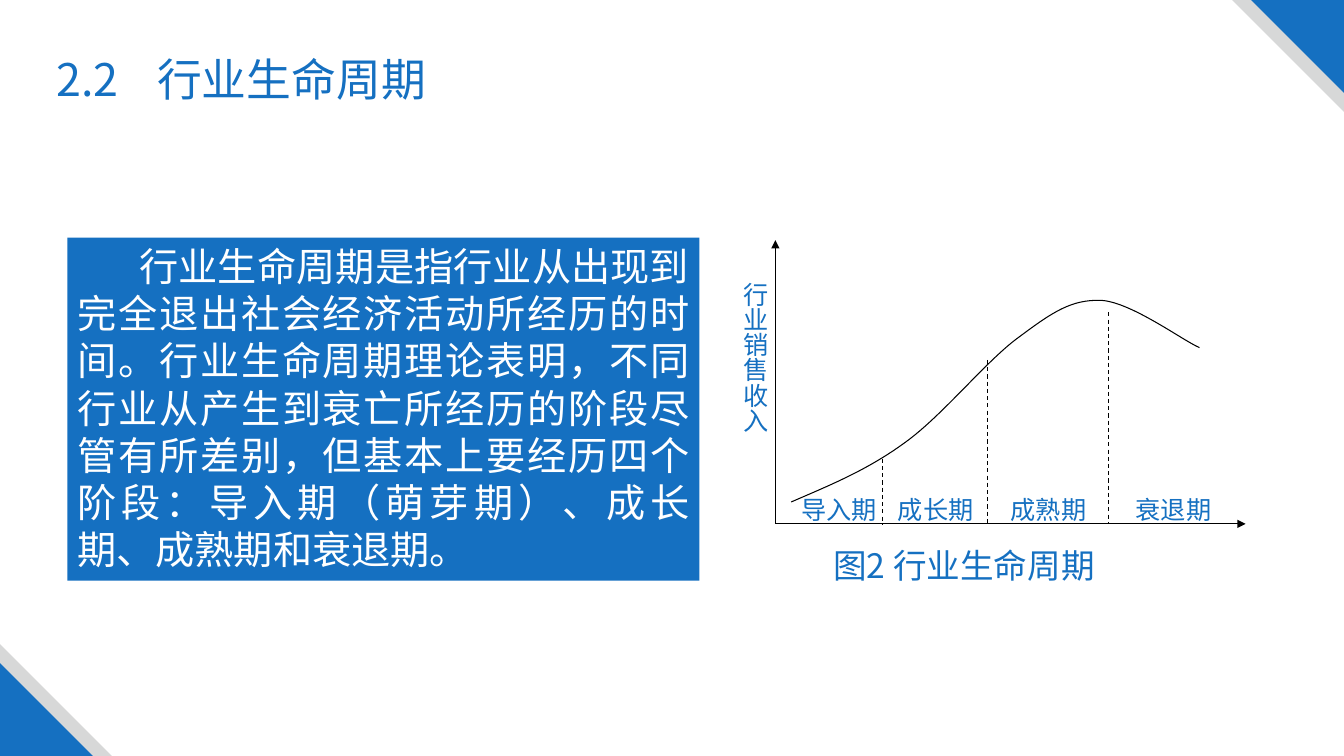
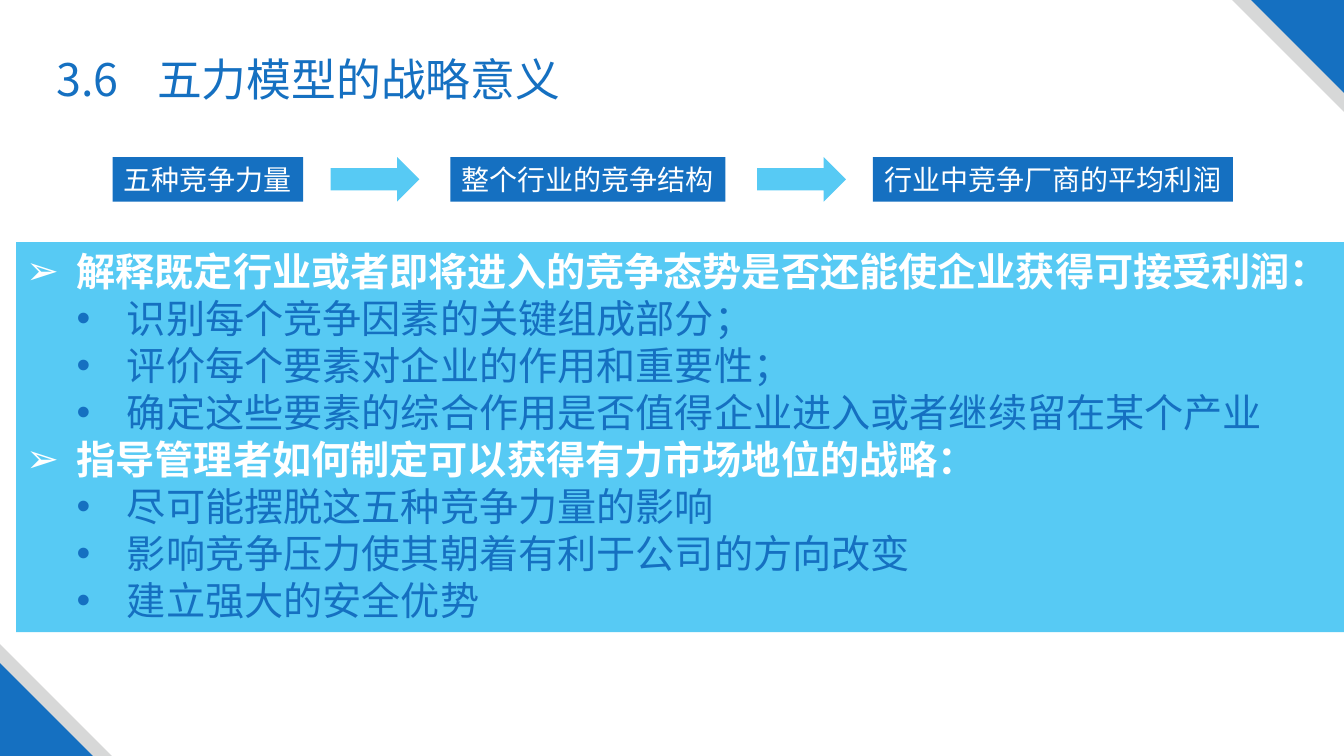
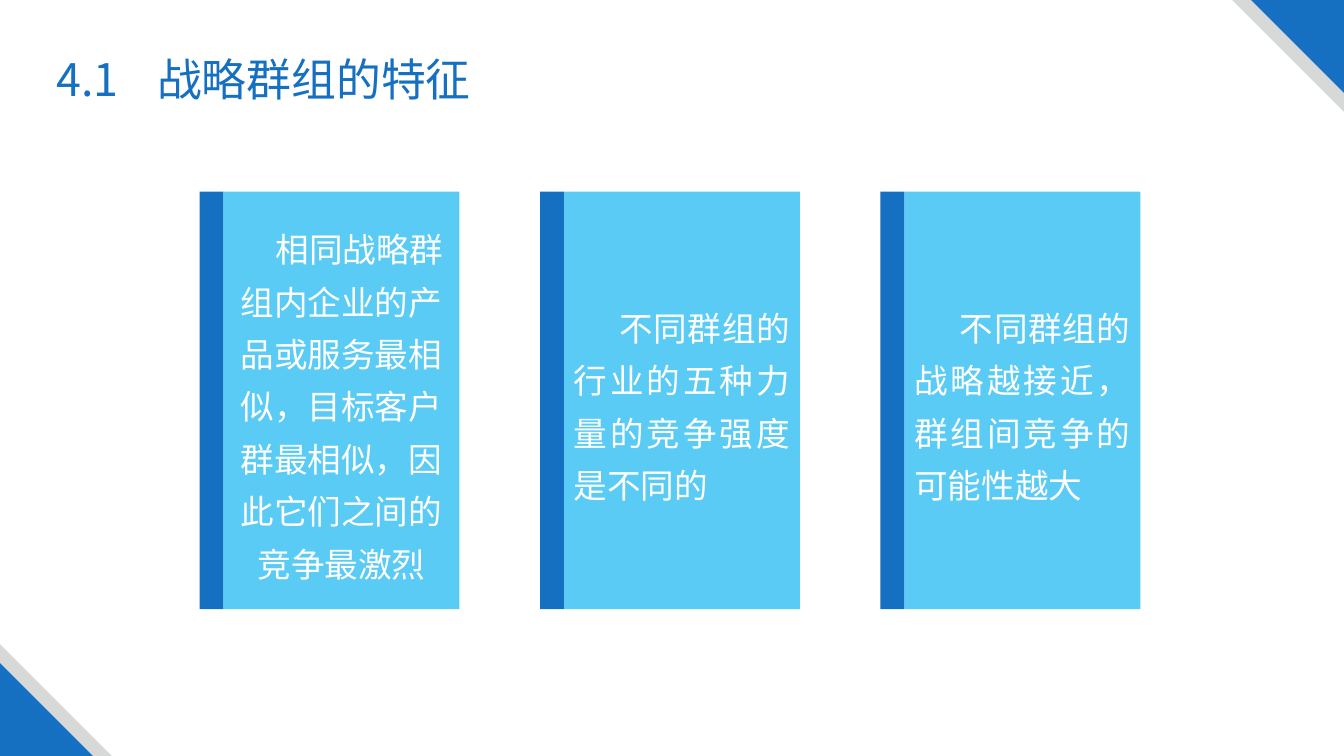
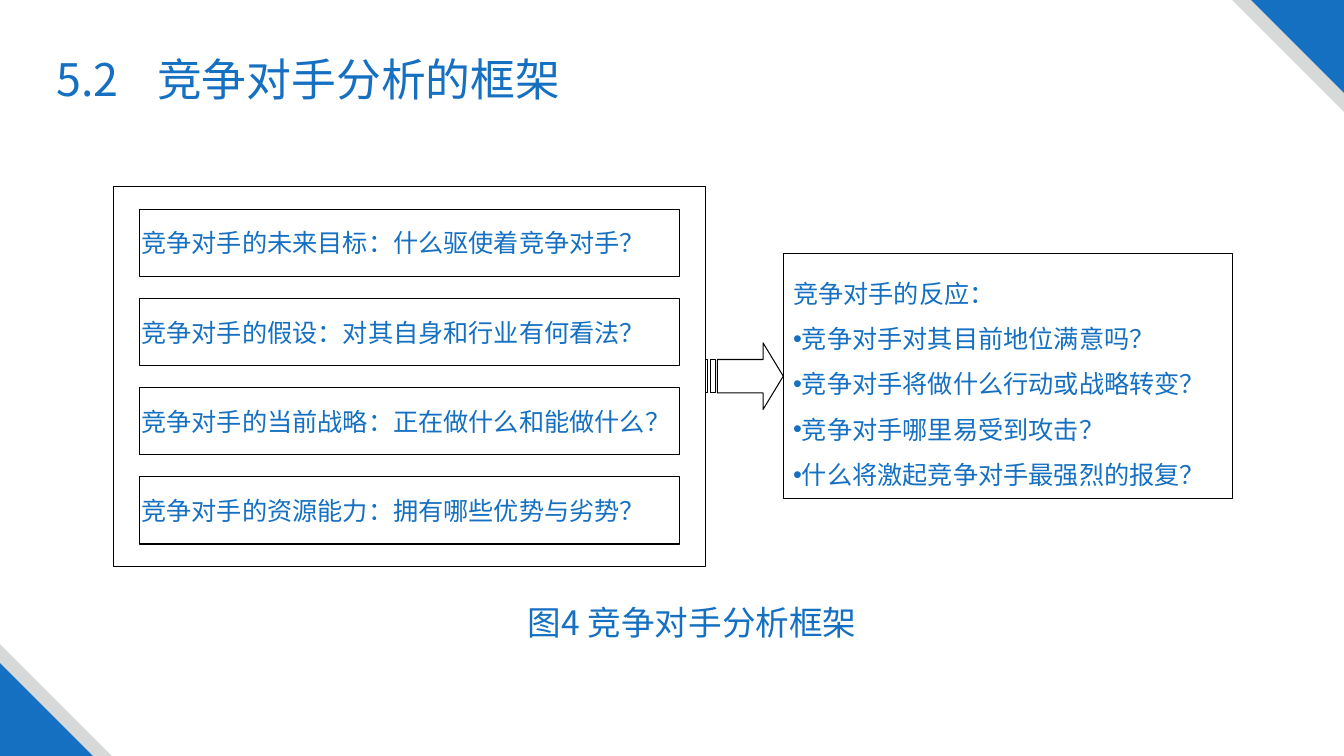
import pptx
import pptx.util
import pptx.dml.color
import pptx.enum.shapes
import pptx.enum.text
import pptx.enum.dml
import pptx.oxml.ns
import lxml.etree

Cm, Pt = pptx.util.Cm, pptx.util.Pt
qn = pptx.oxml.ns.qn
KIND = pptx.enum.shapes.MSO_SHAPE
ALIGN = pptx.enum.text.PP_ALIGN
ANCHOR = pptx.enum.text.MSO_ANCHOR

# Shared style
FONT = "Noto Sans CJK SC"
BLUE, SKY, AZURE = "1570C1", "57CAF4", "00B0F0"
GREY, WHITE, BLACK = "D7D8D8", "FFFFFF", "000000"
WIDTH, HEIGHT = 33.87, 19.05
ALIGNS = {"l": ALIGN.LEFT, "c": ALIGN.CENTER, "j": ALIGN.JUSTIFY}

# Content: life cycle
CYCLE = "行业生命周期是指行业从出现到完全退出社会经济活动所经历的时间。行业生命周期理论表明，不同行业从产生到衰亡所经历的阶段尽管有所差别，但基本上要经历四个阶段：导入期（萌芽期）、成长期、成熟期和衰退期。"
STAGES = [("导入期", 19.94), ("成长期", 22.38), ("成熟期", 25.22), ("衰退期", 28.37)]
BREAKS = [(22.23, 11.56), (24.89, 9.07), (27.94, 7.87)]
CURVE = [(19.94, 12.65),
         (20.88, 12.24), (21.84, 11.86), (22.81, 11.15),
         (23.77, 10.46), (24.87, 9.07), (25.7, 8.48),
         (26.52, 7.87), (27, 7.54), (27.76, 7.57),
         (28.52, 7.62), (29.82, 8.59), (30.23, 8.76)]

# Content: five forces
CHAIN = [("五种竞争力量", 2.84, 4.8), ("整个行业的竞争结构", 11.35, 6.93),
         ("行业中竞争厂商的平均利润", 22, 9.07)]
ARROWS = [8.33, 19.08]
POINTS = [
    ("解释既定行业或者即将进入的竞争态势是否还能使企业获得可接受利润：",
     ["识别每个竞争因素的关键组成部分；", "评价每个要素对企业的作用和重要性；",
      "确定这些要素的综合作用是否值得企业进入或者继续留在某个产业"]),
    ("指导管理者如何制定可以获得有力市场地位的战略：",
     ["尽可能摆脱这五种竞争力量的影响", "影响竞争压力使其朝着有利于公司的方向改变",
      "建立强大的安全优势"]),
]

# Content: strategic groups, with alignment and first-line indent
CARDS = [("相同战略群组内企业的产品或服务最相似，目标客户群最相似，因此它们之间的竞争最激烈", "c", 0.91),
         ("不同群组的行业的五种力量的竞争强度是不同的", "j", 1.15),
         ("不同群组的战略越接近，群组间竞争的可能性越大", "j", 1.15)]

# Content: rivals
RIVALS = ["竞争对手的未来目标：什么驱使着竞争对手？", "竞争对手的假设：对其自身和行业有何看法？",
          "竞争对手的当前战略：正在做什么和能做什么？", "竞争对手的资源能力：拥有哪些优势与劣势？"]
REACT = "竞争对手的反应："
ASKS = ["竞争对手对其目前地位满意吗？", "竞争对手将做什么行动或战略转变？",
        "竞争对手哪里易受到攻击？", "什么将激起竞争对手最强烈的报复？"]


def color(code):
    return pptx.dml.color.RGBColor.from_string(code)


def sub(node, tag, **attrs):
    return lxml.etree.SubElement(node, qn(tag), attrs)


def paint(shape, fill=None, line=None, alpha=None):
    """Set fill and outline; None means no fill or no line."""
    shape.shadow.inherit = False
    if fill:
        shape.fill.solid()
        shape.fill.fore_color.rgb = color(fill)
        if alpha:
            sub(shape.fill._xPr.find(".//" + qn("a:srgbClr")), "a:alpha", val=str(alpha * 1000))
    else:
        shape.fill.background()
    if line:
        shape.line.color.rgb = color(line)
        shape.line.width = Pt(0.75)
    else:
        shape.line.fill.background()


def block(slide, box, fill=None, line=None, alpha=None, kind=KIND.RECTANGLE):
    shape = slide.shapes.add_shape(kind, *map(Cm, box))
    paint(shape, fill, line, alpha)
    return shape


def label(slide, box):
    return slide.shapes.add_textbox(*map(Cm, box))


def write(shape, text, size=18, ink=BLUE, bold=False, align="l", space=None, left=0,
          first=0, bullet=None, tab=None, anchor=ANCHOR.TOP, wrap=True, more=False):
    """Write one paragraph; more=True appends it to the ones already there."""
    frame = shape.text_frame
    if not more:
        frame.word_wrap = wrap
        frame.vertical_anchor = anchor
    para = frame.add_paragraph() if more else frame.paragraphs[0]
    para.alignment = ALIGNS[align]
    if space:
        para.line_spacing = space
    prop = para._p.get_or_add_pPr()
    prop.set("marL", str(Cm(left)))
    prop.set("indent", str(Cm(first)))
    prop.set("hangingPunct", "0")  # keep punctuation inside the box
    if bullet:
        sub(prop, "a:buFont", typeface="Arial")
        sub(prop, "a:buChar", char=bullet)
    if tab:
        sub(sub(prop, "a:tabLst"), "a:tab", pos=str(Cm(tab)), algn="l")
    run = para.add_run()
    run.text = text
    font = run.font
    font.name, font.size, font.bold = FONT, Pt(size), bold
    font.color.rgb = color(ink)
    sub(run._r.get_or_add_rPr(), "a:ea", typeface=FONT)


def rule(slide, start, end, dash=False, arrow=False):
    line = slide.shapes.add_connector(pptx.enum.shapes.MSO_CONNECTOR.STRAIGHT,
                                      *map(Cm, start + end))
    line.line.color.rgb = color(BLACK)
    line.line.width = Pt(0.75)
    if dash:
        line.line.dash_style = pptx.enum.dml.MSO_LINE.DASH
    if arrow:
        sub(line.line._get_or_add_ln(), "a:tailEnd", type="triangle")
    sub(line._element.spPr, "a:effectLst")


def trace(slide, parts, close):
    """Draw one outline from one or more lists of points."""
    parts = [[(Cm(x), Cm(y)) for x, y in part] for part in parts]
    pen = slide.shapes.build_freeform(*parts[0][0])
    for i, part in enumerate(parts):
        if i:
            pen.move_to(*part[0])
        pen.add_line_segments(part[1:], close=close)
    shape = pen.convert_to_shape()
    paint(shape, line=BLACK)
    return shape


def bend(shape):
    """Turn each three line points into one cubic curve."""
    track = shape._element.find(".//" + qn("a:path"))
    steps = track.findall(qn("a:lnTo"))
    for i in range(0, len(steps), 3):
        curve = sub(track, "a:cubicBezTo")
        for step in steps[i:i + 3]:
            curve.append(step[0])
            track.remove(step)


def start(deck, number, title):
    """Add a slide with its corner triangles and title."""
    slide = deck.slides.add_slide(deck.slide_layouts[6])
    for big, ink in ((2.82, GREY), (2.34, BLUE)):
        top = block(slide, (WIDTH - big, 0, big, big), ink, kind=KIND.RIGHT_TRIANGLE)
        top.rotation = 180
        block(slide, (0, HEIGHT - big, big, big), ink, kind=KIND.RIGHT_TRIANGLE)
    write(label(slide, (1.17, 1.19, 16.5, 1.63)), number + "\t" + title, size=32, tab=2.1)
    return slide


def cycle(deck):
    slide = start(deck, "2.2", "行业生命周期")
    write(block(slide, (1.7, 5.99, 15.93, 8.64), BLUE), CYCLE,
          size=28, ink=WHITE, align="j", first=1.56)
    # Axes
    zero = (19.54, 13.2)
    rule(slide, zero, (31.39, 13.2), arrow=True)
    rule(slide, zero, (19.54, 6.05), arrow=True)
    axis = label(slide, (18.39, 6.86, 1.14, 4.42))
    write(axis, "行业销售收入")
    axis.text_frame._txBody.bodyPr.set("vert", "eaVert")
    # Curve and stages
    bend(trace(slide, [CURVE], False))
    for x, y in BREAKS:
        rule(slide, (x, y), (x, zero[1]), dash=True)
    for name, x in STAGES:
        write(label(slide, (x, 12.34, 2.44, 0.81)), name)
    write(label(slide, (20.75, 13.61, 7.19, 1.27)), "图2 行业生命周期", size=24)


def forces(deck):
    slide = start(deck, "3.6", "五力模型的战略意义")
    top, high = 3.96, 1.12
    for name, x, wide in CHAIN:
        write(block(slide, (x, top, wide, high), BLUE), name,
              size=20, ink=WHITE, align="c", wrap=False)
    for x in ARROWS:
        block(slide, (x, top, 2.24, high), SKY, kind=KIND.RIGHT_ARROW)
    # Two headed lists
    panel = block(slide, (0.41, 6.1, 33.46, 9.83), SKY)
    for i, (head, items) in enumerate(POINTS):
        write(panel, head, size=28, ink=WHITE, bold=True, left=1.27, first=-1.27,
              bullet="➢", more=i > 0)
        for item in items:
            write(panel, item, size=28, left=2.54, first=-1.27, bullet="•", more=True)


def groups(deck):
    slide = start(deck, "4.1", "战略群组的特征")
    top, high, band = 4.83, 10.52, 0.6
    for i, (text, align, first) in enumerate(CARDS):
        x = 5.03 + i * 8.58
        block(slide, (x, top, band, high), BLUE)
        card = block(slide, (x + band, top, 5.95, high), AZURE, alpha=65)
        write(card, text, size=24, ink=WHITE, align=align, space=1.3,
              first=first, anchor=ANCHOR.MIDDLE)


def rivals(deck):
    slide = start(deck, "5.2", "竞争对手分析的框架")
    block(slide, (2.86, 4.7, 14.92, 9.58), line=BLACK)
    for i, text in enumerate(RIVALS):
        row = block(slide, (3.51, 5.27 + i * 2.25, 13.62, 1.69), line=BLACK)
        row.text_frame.margin_left = row.text_frame.margin_right = Cm(0.05)
        write(row, text, anchor=ANCHOR.MIDDLE)
    # Reactions
    react = block(slide, (19.74, 6.39, 11.33, 6.18), line=BLACK)
    write(react, REACT, space=1.5, anchor=ANCHOR.MIDDLE)
    for ask in ASKS:
        write(react, ask, space=1.5, bullet="•", more=True)
    # Striped arrow
    mid, half, neck, tip = 9.48, 0.42, 19.23, 19.74
    up, down = mid - half, mid + half
    head = [(neck, mid - 2 * half), (neck, up), (18.08, up), (18.08, down),
            (neck, down), (neck, mid + 2 * half), (tip, mid)]
    bars = [[(a, up), (a, down), (b, down), (b, up)]
            for a, b in ((17.91, 18.03), (17.78, 17.84))]
    trace(slide, [head] + bars, True)
    write(label(slide, (10.31, 14.83, 14.27, 1.68)), "图4 竞争对手分析框架",
          size=24, align="c", anchor=ANCHOR.MIDDLE)


def main():
    deck = pptx.Presentation()
    deck.slide_width, deck.slide_height = Cm(WIDTH), Cm(HEIGHT)
    for build in (cycle, forces, groups, rivals):
        build(deck)
    deck.save("out.pptx")


if __name__ == "__main__":
    main()
